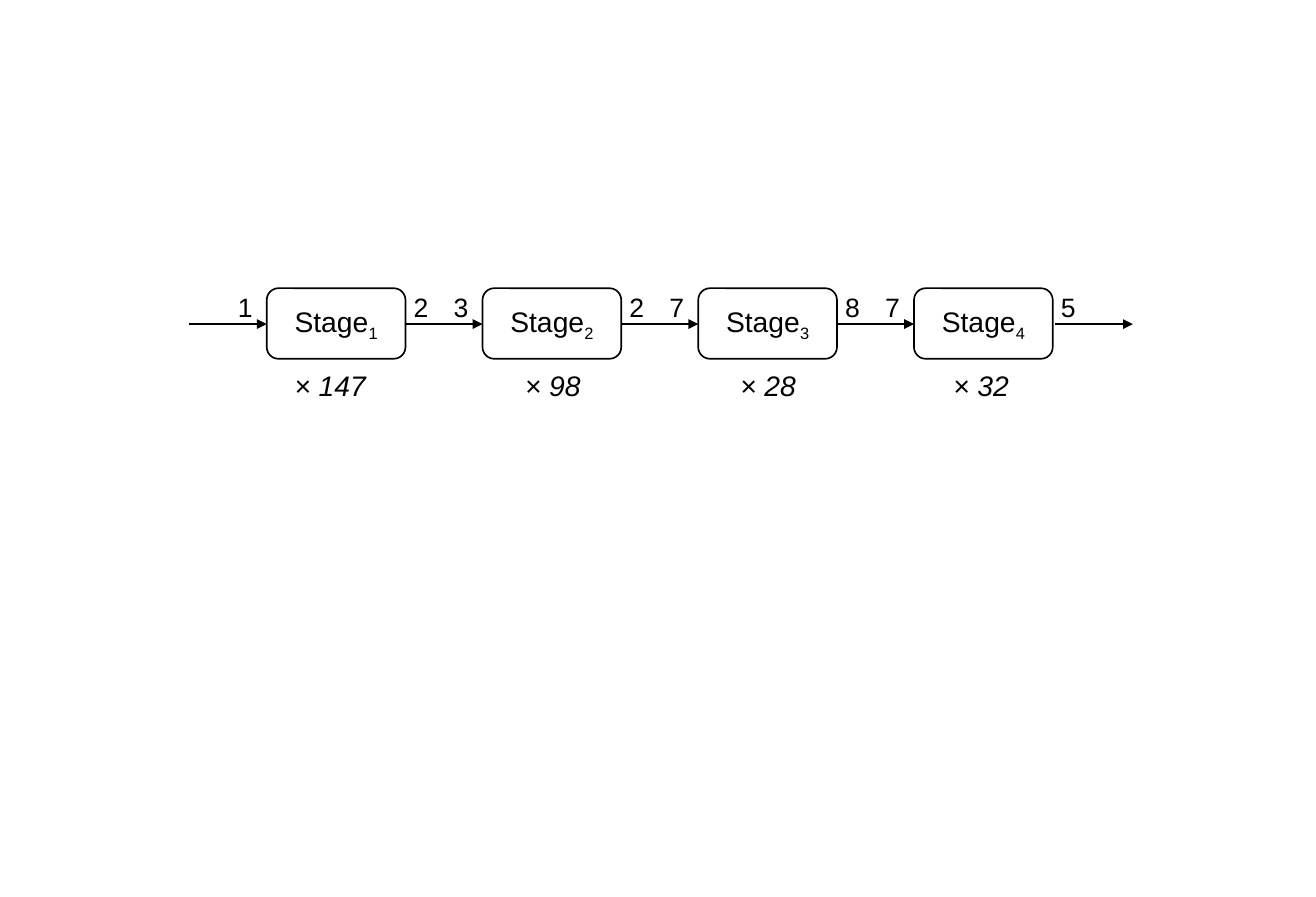
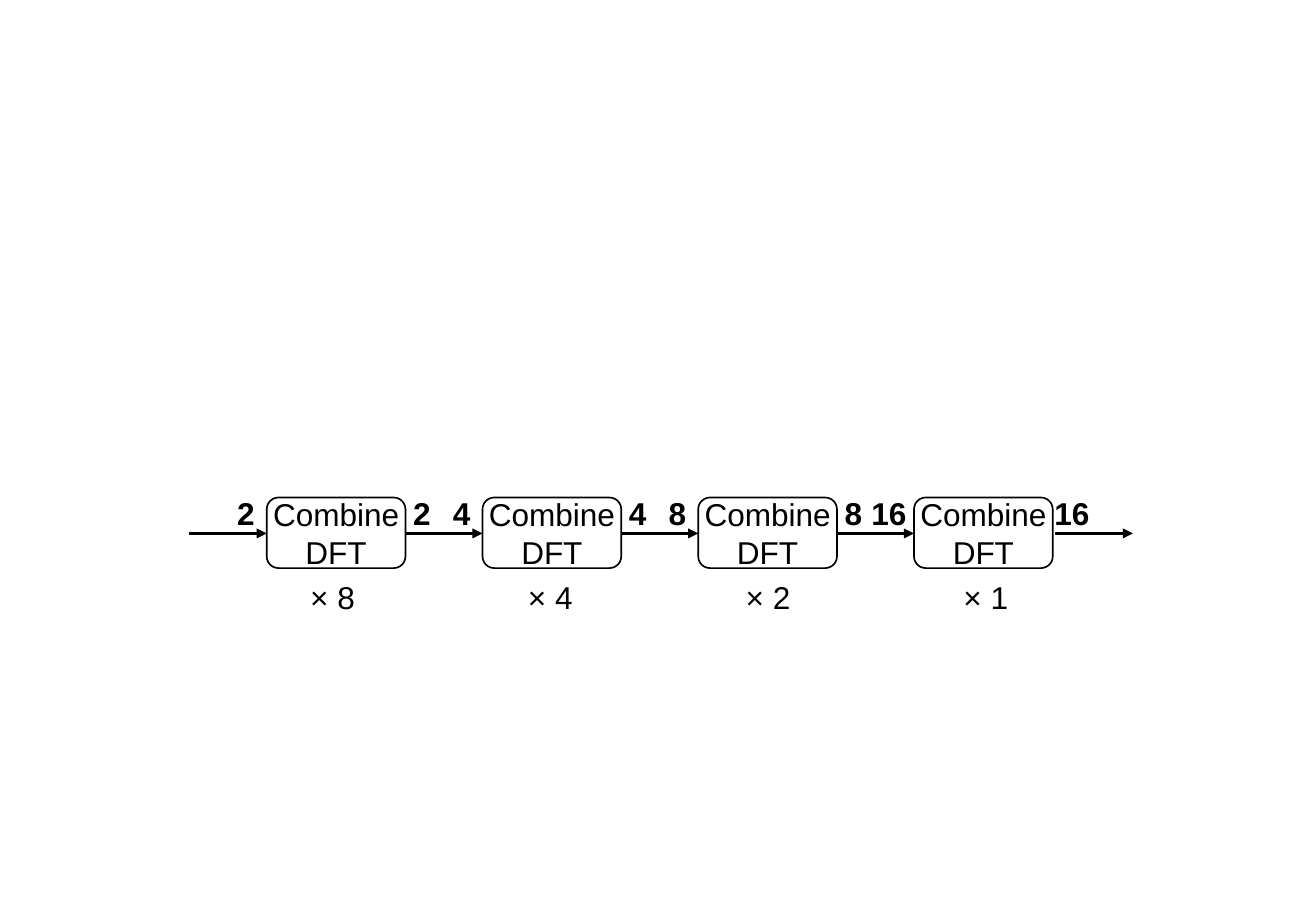
from lxml import etree
from pptx import Presentation
from pptx.dml.color import RGBColor
from pptx.enum.shapes import MSO_CONNECTOR, MSO_SHAPE
from pptx.enum.text import MSO_ANCHOR, MSO_AUTO_SIZE, PP_ALIGN
from pptx.oxml.ns import qn
from pptx.util import Inches, Pt

COLORS = {"ink": "000000", "paper": "FFFFFF"}
FONT = "Arial"

STAGE_COUNT = 4
STAGE_WIDTH, STAGE_HEIGHT = 1.16, 0.59
FIRST_LEFT, LAST_LEFT = 2.23, 7.64
PITCH = (LAST_LEFT - FIRST_LEFT) / (STAGE_COUNT - 1)
ARROW_LENGTH = 0.65
LAST_ARROW_LEFT = 8.82
INPUT_OFFSET, OUTPUT_OFFSET = 0.18, 0.13


def color(name):
    return RGBColor.from_string(COLORS[name])


class PipelineDeck:
    def __init__(self):
        self.deck = Presentation()
        self.deck.slide_width = Inches(11)
        self.deck.slide_height = Inches(7.5)
        self.page = None

    def add_page(self):
        self.page = self.deck.slides.add_slide(self.deck.slide_layouts[6])
        fill = self.page.background.fill
        fill.solid()
        fill.fore_color.rgb = color("paper")

    def format_text(self, frame, size, bold=False, italic=False):
        frame.word_wrap = False
        for para in frame.paragraphs:
            para.alignment = PP_ALIGN.CENTER
            for span in para.runs:
                font = span.font
                font.name, font.size = FONT, Pt(size)
                font.bold, font.italic = bold, italic
                font.color.rgb = color("ink")

    def stage(self, left, top, name, size, subscript=""):
        box = self.page.shapes.add_shape(
            MSO_SHAPE.ROUNDED_RECTANGLE, Inches(left), Inches(top),
            Inches(STAGE_WIDTH), Inches(STAGE_HEIGHT))
        box.shadow.inherit = False
        box.fill.background()
        box.line.color.rgb = color("ink")
        box.line.width = Pt(1)
        frame = box.text_frame
        frame.margin_left = frame.margin_right = Inches(0.11)
        frame.vertical_anchor = MSO_ANCHOR.MIDDLE
        frame.text = name
        if subscript:
            span = frame.paragraphs[0].add_run()
            span.text = subscript
            span._r.get_or_add_rPr().set("baseline", "-25000")
        self.format_text(frame, size)

    def label(self, center, top, width, height, text, size, **style):
        box = self.page.shapes.add_textbox(
            Inches(center - width / 2), Inches(top), Inches(width), Inches(height))
        frame = box.text_frame
        frame.text = text
        frame.auto_size = MSO_AUTO_SIZE.SHAPE_TO_FIT_TEXT
        self.format_text(frame, size, **style)

    def arrow(self, left, y, width):
        line = self.page.shapes.add_connector(
            MSO_CONNECTOR.STRAIGHT, Inches(left), Inches(y),
            Inches(left + ARROW_LENGTH), Inches(y))
        line.line.color.rgb = color("ink")
        line.line.width = Pt(width)
        etree.SubElement(line.line._get_or_add_ln(), qn("a:tailEnd"), type="triangle")
        etree.SubElement(line._element.spPr, qn("a:effectLst"))

    def pipeline(self, top, stages, name_size, rates, rate_style, rate_height,
                 counts, count_style, count_height, arrow_width):
        """Draw a row of stages; rates are (input, output), counts (text, center, width)."""
        lefts = [FIRST_LEFT + PITCH * index for index in range(STAGE_COUNT)]
        arrow_y = top + 0.3
        rate_top = arrow_y + 0.04 - rate_height
        for left, (name, subscript) in zip(lefts, stages):
            self.stage(left, top, name, name_size, subscript)
        for left in [*(left - ARROW_LENGTH for left in lefts), LAST_ARROW_LEFT]:
            self.arrow(left, arrow_y, arrow_width)
        for left, pair in zip(lefts, rates):
            centers = left - INPUT_OFFSET, left + STAGE_WIDTH + OUTPUT_OFFSET
            for center, rate, outward in zip(centers, pair, (-1, 1)):
                wide = len(rate) > 1
                self.label(center + (0.03 * outward if wide else 0), rate_top,
                           0.49 if wide else 0.33, rate_height, rate, **rate_style)
        for text, center, width in counts:
            self.label(center, top + 0.62, width, count_height, text, **count_style)


def main():
    show = PipelineDeck()

    show.add_page()
    show.pipeline(
        top=2.41, name_size=17, arrow_width=1,
        stages=[("Stage", str(number)) for number in range(1, STAGE_COUNT + 1)],
        rates=[("1", "2"), ("3", "2"), ("7", "8"), ("7", "5")],
        rate_style={"size": 16}, rate_height=0.37,
        counts=[("× 147", 2.76, 0.85), ("× 98", 4.62, 0.71),
                ("× 28", 6.42, 0.71), ("× 32", 8.2, 0.71)],
        count_style={"size": 17, "italic": True}, count_height=0.39)

    show.add_page()
    show.pipeline(
        top=4.16, name_size=19, arrow_width=2,
        stages=[("Combine\nDFT", "")] * STAGE_COUNT,
        rates=[("2", "2"), ("4", "4"), ("8", "8"), ("16", "16")],
        rate_style={"size": 19, "bold": True}, rate_height=0.42,
        counts=[(f"× {8 // 2 ** index}", 2.78 + 1.82 * index, 0.63)
                for index in range(STAGE_COUNT)],
        count_style={"size": 19}, count_height=0.42)

    show.deck.save("out.pptx")


if __name__ == "__main__":
    main()
